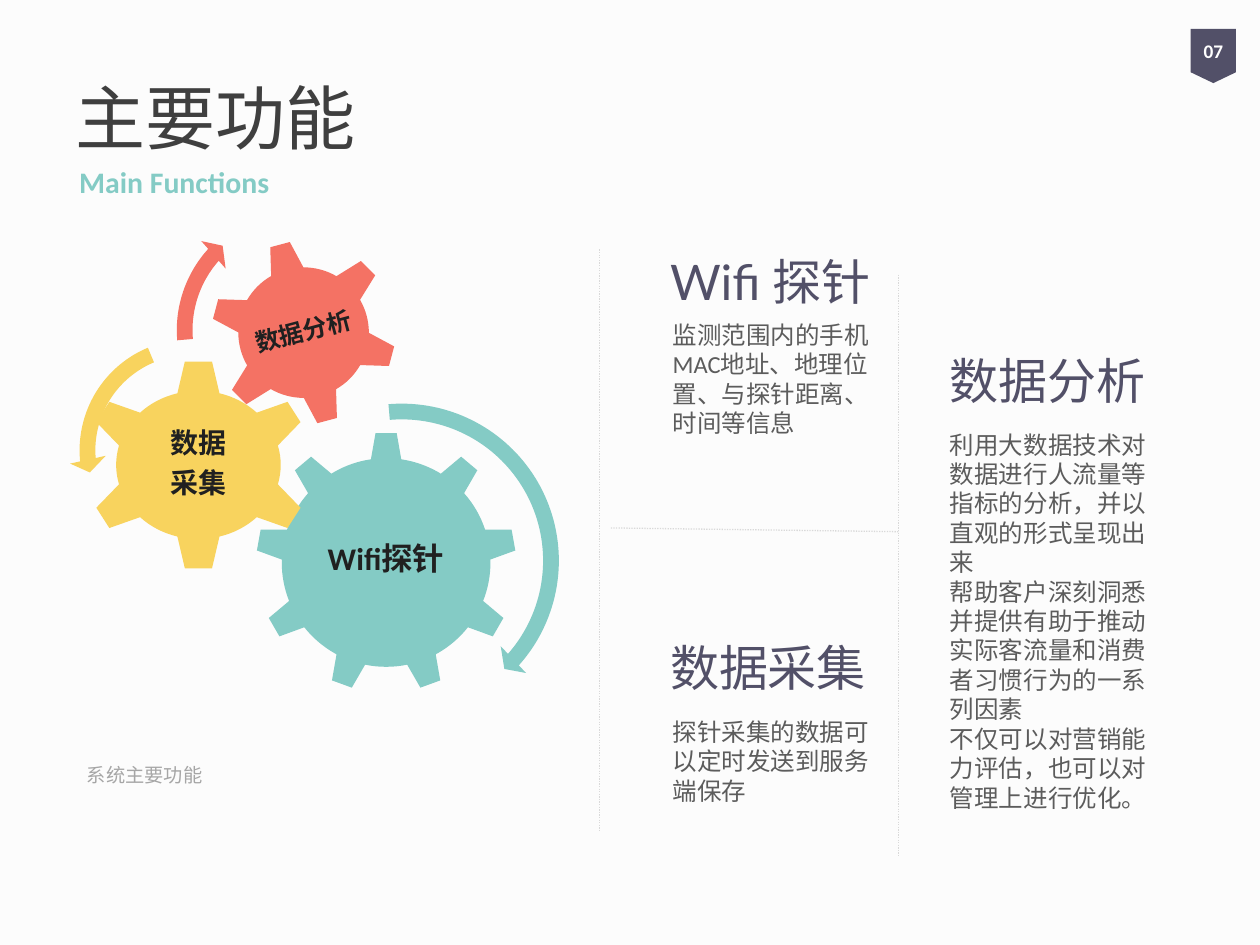
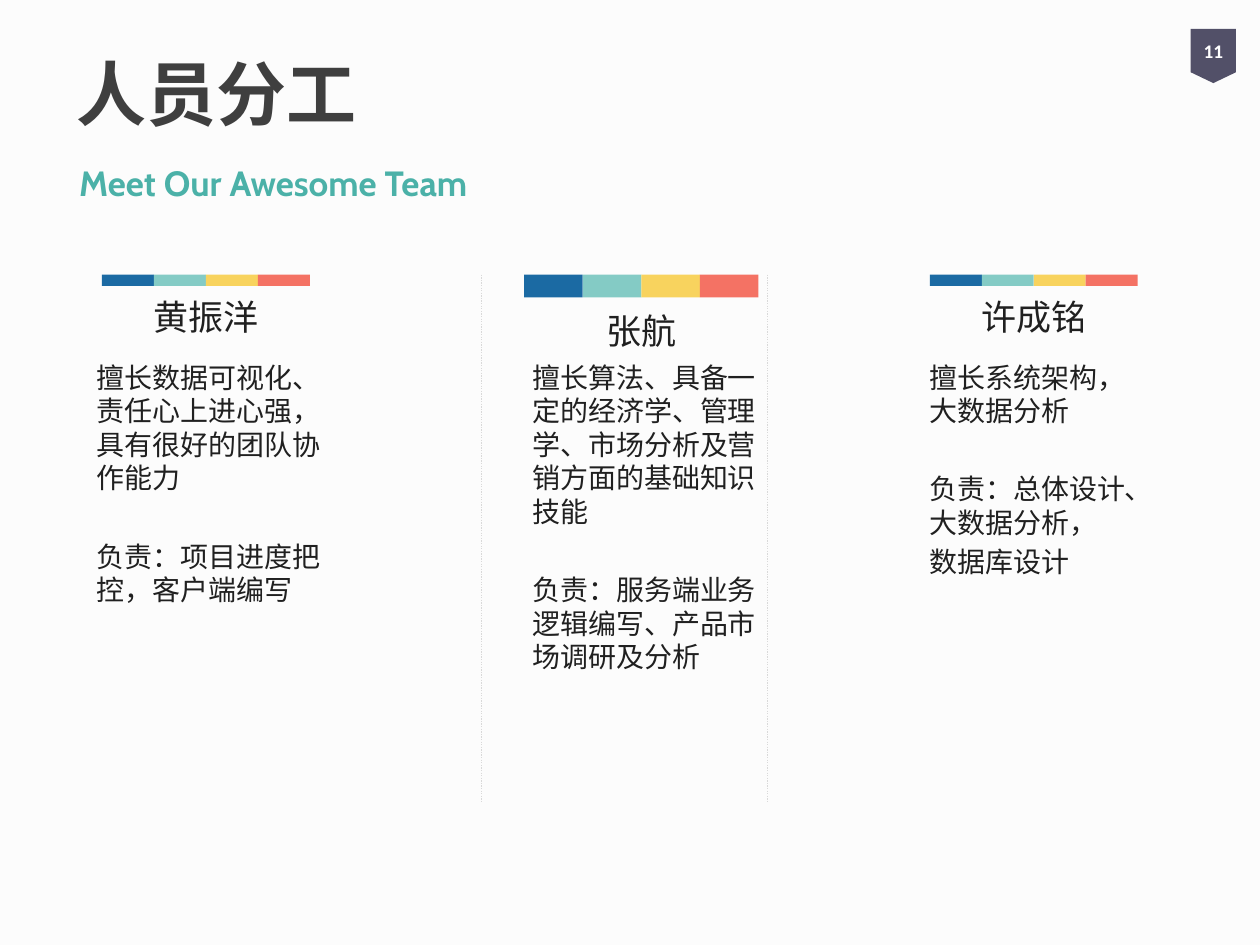
from dataclasses import dataclass

from lxml import etree
from pptx import Presentation
from pptx.dml.color import RGBColor
from pptx.enum.dml import MSO_LINE
from pptx.enum.shapes import MSO_CONNECTOR, MSO_SHAPE
from pptx.enum.text import MSO_ANCHOR, MSO_AUTO_SIZE, PP_ALIGN
from pptx.oxml.ns import qn
from pptx.util import Inches, Pt


@dataclass(frozen=True)
class Theme:
    """Colours, fonts and type sizes shared by the slides."""

    paper: str = "FCFCFC"
    title: str = "3F3F3F"
    ink: str = "202020"
    body: str = "5C5C5C"
    caption: str = "A6A6A6"
    rule: str = "D9D9D9"
    plum: str = "525068"
    blue: str = "1B6AA3"
    teal: str = "84CBC5"
    deep_teal: str = "4BB1A8"
    yellow: str = "F8D35E"
    coral: str = "F47264"
    white: str = "FFFFFF"
    display_font: str = "Cabin"
    text_font: str = "Calibri"
    latin_font: str = "Lato"
    title_size: int = 40
    heading_size: int = 28
    name_size: int = 20
    member_size: int = 16
    body_size: int = 14
    small_size: int = 11


THEME = Theme()


@dataclass(frozen=True)
class Box:
    """A rectangle in inches that can place other boxes inside itself."""

    left: float
    top: float
    width: float
    height: float

    def inner(self, dx, dy, width, height):
        """Return a box offset from this one's top left corner."""
        return Box(self.left + dx, self.top + dy, width, height)

    def lengths(self):
        """Return left, top, width and height as lengths."""
        return [Inches(v) for v in (self.left, self.top, self.width, self.height)]


def write(frame, *paragraphs, size, color, font=THEME.text_font, bold=False,
          align=PP_ALIGN.LEFT, anchor=MSO_ANCHOR.TOP, wrap=True, inset=None,
          before=0, gap=0, after=0, spacing=None):
    """Fill a text frame; a paragraph is a string or a list of (text, font) runs."""
    frame.auto_size = MSO_AUTO_SIZE.NONE
    frame.word_wrap = wrap
    frame.vertical_anchor = anchor
    if inset is not None:
        frame.margin_left = frame.margin_right = Inches(inset)
        frame.margin_top = frame.margin_bottom = Inches(inset)
    for index, content in enumerate(paragraphs):
        paragraph = frame.add_paragraph() if index else frame.paragraphs[0]
        paragraph.alignment = align
        paragraph.space_before = Pt(gap if index else before)
        paragraph.space_after = Pt(after)
        if spacing:
            paragraph.line_spacing = spacing
        runs = [(content, font)] if isinstance(content, str) else content
        for text, run_font in runs:
            run = paragraph.add_run()
            run.text = text
            run.font.name = run_font
            run.font.size = Pt(size)
            run.font.bold = bold
            run.font.color.rgb = RGBColor.from_string(color)
    return frame


def add_text(slide, box, *paragraphs, **style):
    """Add a text box and write into it."""
    return write(slide.shapes.add_textbox(*box.lengths()).text_frame, *paragraphs, **style)


def add_solid(slide, preset, box, color, adjustments=()):
    """Add a flat filled preset shape without outline or shadow."""
    shape = slide.shapes.add_shape(preset, *box.lengths())
    shape.shadow.inherit = False
    shape.fill.solid()
    shape.fill.fore_color.rgb = RGBColor.from_string(color)
    shape.line.fill.background()
    for index, value in enumerate(adjustments):
        shape.adjustments[index] = value
    return shape


def add_rule(slide, x1, y1, x2, y2):
    """Draw a dotted dividing line."""
    rule = slide.shapes.add_connector(
        MSO_CONNECTOR.STRAIGHT, *(Inches(v) for v in (x1, y1, x2, y2)))
    rule.line.color.rgb = RGBColor.from_string(THEME.rule)
    rule.line.width = Pt(0.75)
    rule.line.dash_style = MSO_LINE.ROUND_DOT
    etree.SubElement(rule._element.spPr, qn("a:effectLst"))


def add_page(prs, title, title_box, subtitle, number, title_bold=False, **subtitle_style):
    """Add a slide with its title, subtitle and page badge."""
    slide = prs.slides.add_slide(prs.slide_layouts[5])
    heading = slide.shapes.title
    heading.left, heading.top, heading.width, heading.height = title_box.lengths()
    write(heading.text_frame, title, size=THEME.title_size, color=THEME.title,
          font=THEME.display_font, bold=title_bold, anchor=MSO_ANCHOR.MIDDLE)
    add_text(slide, Box(0.53, 1.18, 9, 0.53), subtitle, bold=True,
             anchor=MSO_ANCHOR.MIDDLE, **subtitle_style)
    badge = add_solid(slide, MSO_SHAPE.FLOWCHART_OFFPAGE_CONNECTOR,
                      Box(9.45, 0.23, 0.36, 0.43), THEME.plum)
    write(badge.text_frame, number, size=THEME.small_size, color=THEME.white, bold=True,
          align=PP_ALIGN.CENTER, anchor=MSO_ANCHOR.MIDDLE, inset=0)
    return slide


def add_gears(slide, box):
    """Draw three meshing gears and the arrows showing how they turn."""
    gears = [
        (MSO_SHAPE.GEAR_9, (1.48, 1.85, 2.07, 2.07), THEME.teal, 0, 18, ["Wifi探针"]),
        (MSO_SHAPE.GEAR_6, (0.12, 1.27, 1.81, 1.68), THEME.yellow, 0, 16, ["数据", "采集"]),
        (MSO_SHAPE.GEAR_6, (1.12, 0.32, 1.48, 1.48), THEME.coral, 345, 14, ["数据分析"]),
    ]
    for preset, place, color, rotation, size, label in gears:
        gear = add_solid(slide, preset, box.inner(*place), color)
        gear.rotation = rotation
        write(gear.text_frame, *label, size=size, color=THEME.ink, bold=True,
              align=PP_ALIGN.CENTER, anchor=MSO_ANCHOR.MIDDLE, wrap=False,
              inset=0.02, after=0.35 * size, spacing=0.9)
    turns = [
        (MSO_SHAPE.CIRCULAR_ARROW, (1.31, 1.54, 2.66, 2.66), THEME.teal,
         (0.047, 2.99, 24.95, 159.07, 0.055)),
        (MSO_SHAPE.LEFT_CIRCULAR_ARROW, (0, 1.03, 1.93, 1.93), THEME.yellow,
         (0.065, 4.3, 104.89, 148.38, 0.075)),
        (MSO_SHAPE.CIRCULAR_ARROW, (0.77, 0, 2.08, 2.08), THEME.coral,
         (0.06, 3.94, 133.14, 105.08, 0.07)),
    ]
    for preset, place, color, adjustments in turns:
        add_solid(slide, preset, box.inner(*place), color, adjustments)


def add_feature(slide, box, heading, *details, drop=0.63, indent=0.02):
    """Place a feature heading with its details below it."""
    add_text(slide, box.inner(0, 0, box.width, 0.6), heading, size=THEME.heading_size,
             color=THEME.plum, font=THEME.display_font, before=0.2 * THEME.heading_size)
    add_text(slide, box.inner(indent, drop, 1.89, box.height - drop), *details,
             size=THEME.body_size, color=THEME.body, before=0.2 * THEME.body_size)


def add_member(slide, box, name, *duties, bar_height=0.09, text_shift=-0.1,
               text_width=1.78):
    """Place a colour bar, a member's name and the member's skills and duties."""
    colors = (THEME.blue, THEME.teal, THEME.yellow, THEME.coral)
    step = box.width / len(colors)
    for index, color in enumerate(colors):
        add_solid(slide, MSO_SHAPE.RECTANGLE,
                  box.inner(index * step, 0, step, bar_height), color)
    add_text(slide, box.inner(0, 1.25 * bar_height, box.width, 0.67), name,
             size=THEME.name_size, color=THEME.ink, font=THEME.display_font,
             align=PP_ALIGN.CENTER, before=0.2 * THEME.name_size)
    skills = add_text(slide, box.inner(text_shift, 0.63, text_width, box.height - 0.63),
                      *duties, size=THEME.member_size, color=THEME.ink,
                      before=0.2 * THEME.member_size, gap=0.2 * THEME.member_size)
    skills.paragraphs[1].space_before = Pt(25.5)


def build_functions(prs):
    """Build the slide on the main functions."""
    slide = add_page(prs, "主要功能", Box(0.5, 0.3, 8.67, 1.25), "Main Functions", "07",
                     size=17, color=THEME.teal)
    add_gears(slide, Box(0.55, 1.58, 3.97, 4.2))
    add_text(slide, Box(0.59, 6.01, 4.01, 0.89), "系统主要功能", size=THEME.small_size,
             color=THEME.caption, before=0.2 * THEME.small_size)
    add_feature(slide, Box(5.22, 1.95, 2.06, 1.58),
                [("Wifi ", THEME.latin_font), ("探针", THEME.display_font)],
                "监测范围内的手机MAC地址、地理位置、与探针距离、时间等信息", drop=0.54)
    add_feature(slide, Box(5.22, 5.01, 1.91, 1.44), "数据采集",
                "探针采集的数据可以定时发送到服务端保存")
    add_feature(slide, Box(7.44, 2.73, 1.89, 4.08), "数据分析",
                "利用大数据技术对数据进行人流量等指标的分析，并以直观的形式呈现出来",
                "帮助客户深刻洞悉并提供有助于推动实际客流量和消费者习惯行为的一系列因素",
                "不仅可以对营销能力评估，也可以对管理上进行优化。", indent=0)
    add_rule(slide, 4.76, 1.98, 4.76, 6.59)
    add_rule(slide, 7.13, 4.22, 4.84, 4.19)
    add_rule(slide, 7.13, 2.18, 7.13, 6.79)


def build_team(prs):
    """Build the slide on the team's division of work."""
    slide = add_page(prs, "人员分工", Box(0.51, 0.3, 9, 0.87), "Meet Our Awesome Team", "11",
                     title_bold=True, size=20, color=THEME.deep_teal,
                     font=THEME.display_font)
    for x in (3.82, 6.09):
        add_rule(slide, x, 2.18, x, 6.37)
    add_member(slide, Box(0.81, 2.18, 1.65, 3.39), "黄振洋",
               "擅长数据可视化、责任心上进心强，具有很好的团队协作能力",
               "负责：项目进度把控，客户端编写", text_shift=-0.14, text_width=2.05)
    add_member(slide, Box(4.16, 2.18, 1.86, 3.31), "张航",
               "擅长算法、具备一定的经济学、管理学、市场分析及营销方面的基础知识技能",
               "负责：服务端业务逻辑编写、产品市场调研及分析",
               bar_height=0.18, text_shift=-0.03, text_width=2.13)
    add_member(slide, Box(7.38, 2.18, 1.65, 3.39), "许成铭",
               "擅长系统架构，大数据分析", "负责：总体设计、大数据分析，", "数据库设计")


def main():
    """Build and save the presentation."""
    prs = Presentation()
    prs.slide_width, prs.slide_height = Inches(10), Inches(7.5)
    backdrop = prs.slide_master.background.fill
    backdrop.solid()
    backdrop.fore_color.rgb = RGBColor.from_string(THEME.paper)
    build_functions(prs)
    build_team(prs)
    prs.save("out.pptx")


if __name__ == "__main__":
    main()
